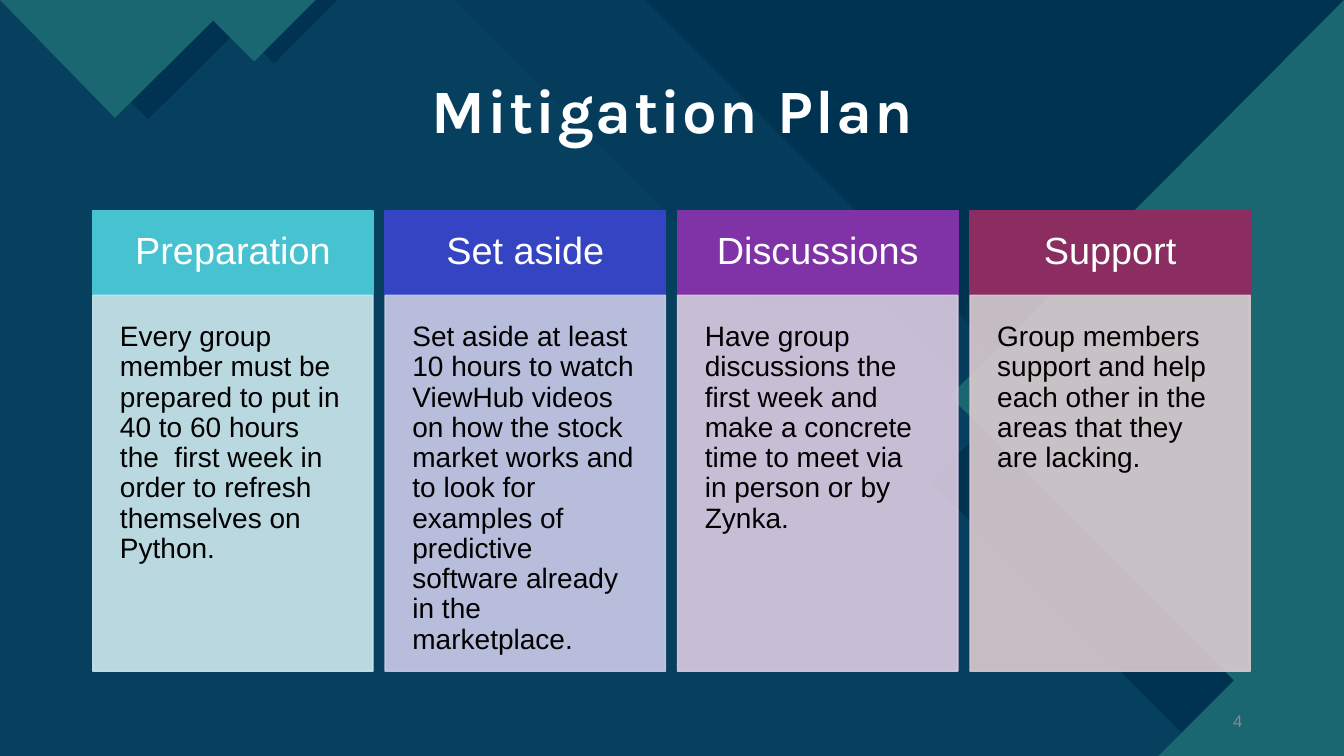
from pptx import Presentation
from pptx.dml.color import RGBColor as RGB
from pptx.enum.shapes import MSO_SHAPE as SHAPE
from pptx.enum.text import MSO_ANCHOR as ANCHOR, PP_ALIGN as ALIGN
from pptx.oxml import parse_xml as to_xml
from pptx.oxml.ns import nsdecls, qn
from pptx.util import Inches, Pt

WHITE = RGB(0xFF, 0xFF, 0xFF)
BLACK = RGB(0, 0, 0)
GRAY = RGB(0x88, 0x88, 0x88)
BASE = RGB(0x0C, 0x43, 0x60)
NAVY = RGB(0x00, 0x32, 0x52)
TEAL = RGB(0x1B, 0x67, 0x71)
AQUA = RGB(0x47, 0xC3, 0xD3)

DECOR = [
    (AQUA, 74, [(0, 0), (8.26, 0), (11.23, 2.97), (12.35, 2.97), (13.33, 3.96), (13.33, 7.5), (0, 7.5)]),
    (AQUA, 100, [(0, 0), (4.49, 0), (7.46, 2.97), (8.72, 2.97), (13.25, 7.5), (0, 7.5)]),
    (NAVY, 100, [(6.4, 0), (13.33, 0), (13.33, 6.93)]),
    (NAVY, 90, [(0, 0), (6.95, 0), (9.92, 2.97), (11.18, 2.97), (13.33, 5.13), (13.33, 7.5), (0, 7.5)]),
    (NAVY, 100, [(13.33, 0.68), (13.33, 7.5), (11.95, 7.5), (9.23, 4.78)]),
    (TEAL, 100, [(13.33, 0), (13.33, 7.5), (12.99, 7.5), (9.42, 3.93)]),
    (NAVY, 100, [(13.33, 6.14), (13.33, 7.5), (11.97, 7.5)]),
    (TEAL, 100, [(13.33, 5.66), (13.33, 7.5), (11.49, 7.5)]),
    (NAVY, 100, [(2.66, 0), (1.47, 1.18), (0.29, 0)]),
    (TEAL, 100, [(0, 0), (1.14, 1.17), (2.32, 0)]),
    (NAVY, 100, [(3.35, 0), (2.72, 0.63), (2.09, 0)]),
    (TEAL, 100, [(1.91, 0), (2.52, 0.61), (3.13, 0)]),
]

PLANS = [
    ("Preparation", RGB(0x46, 0xC2, 0xD1), RGB(0xCE, 0xE9, 0xEF),
     "Every group member must be prepared to put in 40 to 60 hours the  first week "
     "in order to refresh themselves on Python."),
    ("Set aside", RGB(0x34, 0x44, 0xC3), RGB(0xCB, 0xCB, 0xE8),
     "Set aside at least 10 hours to watch ViewHub videos on how the stock market works "
     "and to look for examples of predictive software already in the marketplace."),
    ("Discussions", RGB(0x80, 0x32, 0xA7), RGB(0xDC, 0xCB, 0xE1),
     "Have group discussions the first week and make a concrete time to meet via "
     "in person or by Zynka."),
    ("Support", RGB(0x8C, 0x2D, 0x61), RGB(0xDB, 0xCB, 0xD0),
     "Group members support and help each other in the areas that they are lacking."),
]


class Deck:
    font = "Arial"

    def __init__(self):
        self.file = Presentation()
        self.file.slide_width = Inches(13.33)
        self.file.slide_height = Inches(7.5)
        self.slide = self.file.slides.add_slide(self.file.slide_layouts[5])
        self.shapes = self.slide.shapes

    def back(self, color):
        fill = self.slide.background.fill
        fill.solid()
        fill.fore_color.rgb = color

    def paint(self, fill, color, alpha):
        fill.solid()
        fill.fore_color.rgb = color
        if alpha < 100:
            for node in fill._xPr.iter(qn("a:srgbClr")):
                if node.find(qn("a:alpha")) is None:
                    node.append(to_xml(f'<a:alpha {nsdecls("a")} val="{alpha * 1000}"/>'))

    def outline(self, color, alpha, points):
        start, *rest = [(Inches(x), Inches(y)) for x, y in points]
        pen = self.shapes.build_freeform(*start)
        pen.add_line_segments(rest, close=True)
        shape = pen.convert_to_shape()
        shape.shadow.inherit = False
        self.paint(shape.fill, color, alpha)
        shape.line.fill.background()

    def place(self, shape, box):
        shape.left, shape.top, shape.width, shape.height = map(Inches, box)

    def add_text(self, shape, text, size, color, align, anchor, pad=(0.1, 0.05), font=None, space=0.9):
        frame = shape.text_frame
        frame.word_wrap = True
        frame.vertical_anchor = anchor
        frame.margin_left = frame.margin_right = Inches(pad[0])
        frame.margin_top = frame.margin_bottom = Inches(pad[1])
        para = frame.paragraphs[0]
        para.alignment = align
        para.line_spacing = space
        run = para.add_run()
        run.text = text
        run.font.name = font or self.font
        run.font.size = Pt(size)
        run.font.color.rgb = color
        return run

    def title(self, text, box):
        shape = self.shapes.title
        self.place(shape, box)
        run = self.add_text(shape, text, 44, WHITE, ALIGN.CENTER, ANCHOR.MIDDLE, font="Karla")
        run.font.bold = True
        run._r.get_or_add_rPr().set("spc", "150")
        tree = shape._element.getparent()
        tree.append(shape._element)

    def label(self, text, box):
        shape = self.shapes.add_textbox(*map(Inches, box))
        self.add_text(shape, text, 12, GRAY, ALIGN.RIGHT, ANCHOR.MIDDLE, space=1.0)

    def panel(self, box, color, alpha=100):
        shape = self.shapes.add_shape(SHAPE.RECTANGLE, *map(Inches, box))
        shape.shadow.inherit = False
        self.paint(shape.fill, color, alpha)
        self.paint(shape.line.fill, color, alpha)
        shape.line.width = Pt(1)
        return shape

    def column(self, left, head, dark, light, body):
        top = self.panel((left, 2.09, 2.78, 0.83), dark)
        self.add_text(top, head, 27, WHITE, ALIGN.CENTER, ANCHOR.MIDDLE, (0.22, 0.22))
        main = self.panel((left, 2.93, 2.78, 3.73), light, 90)
        self.add_text(main, body, 20, BLACK, ALIGN.LEFT, ANCHOR.TOP, (0.27, 0.27))

    def save(self):
        self.file.save("out.pptx")


def main():
    deck = Deck()
    deck.back(BASE)
    for color, alpha, points in DECOR:
        deck.outline(color, alpha, points)
    deck.title("Mitigation Plan", (0.92, 0.4, 11.5, 1.45))
    deck.label("4", (9.42, 6.95, 3, 0.4))
    for i, plan in enumerate(PLANS):
        deck.column(0.92 + 2.9 * i, *plan)
    deck.save()


if __name__ == "__main__":
    main()
